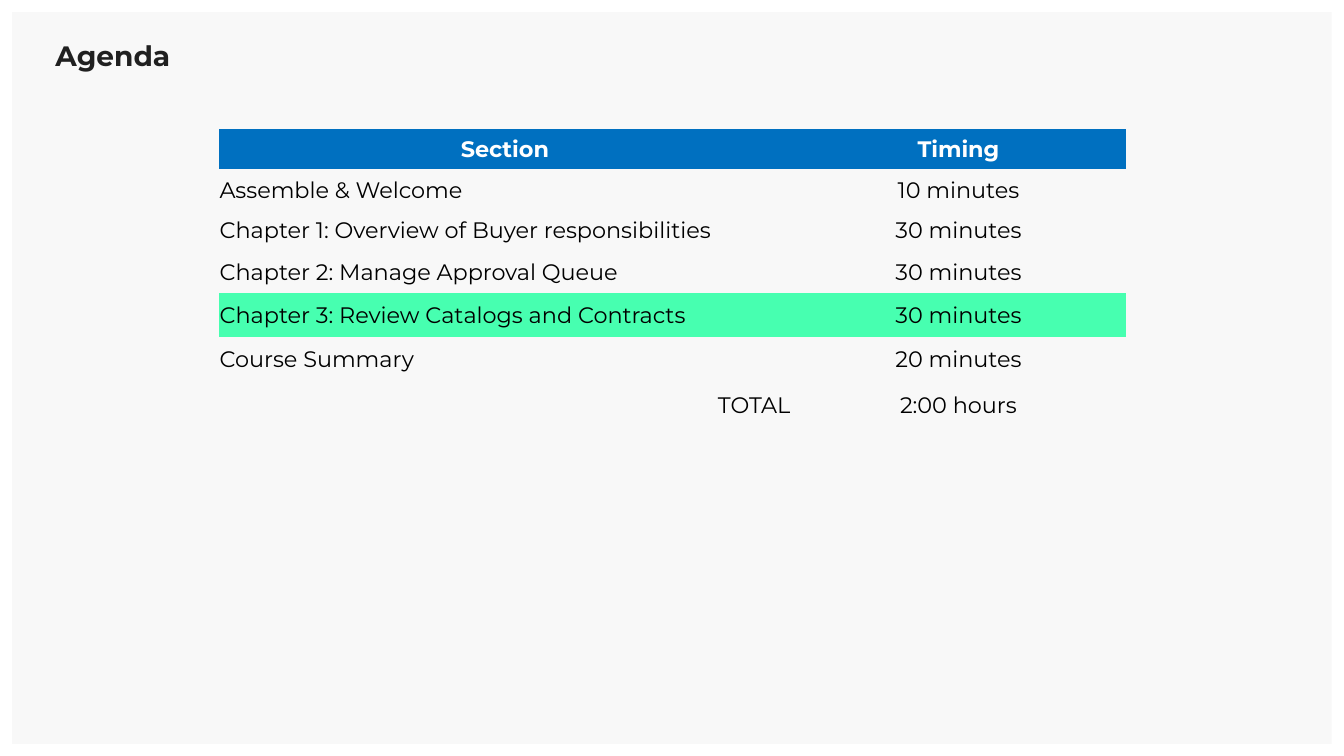
"""Build an agenda slide with a timing table that highlights the current chapter."""
from dataclasses import dataclass

from pptx import Presentation
from pptx.dml.color import RGBColor
from pptx.enum.shapes import MSO_SHAPE
from pptx.enum.text import MSO_ANCHOR, PP_ALIGN as AL
from pptx.oxml.ns import qn
from pptx.slide import Slide
from pptx.table import _Cell as Cell
from pptx.util import Pt

FONT = "Montserrat"
NO_STYLE_NO_GRID = "{2D5ABB26-0587-4C30-8999-92F81FD0307C}"
COLORS = {
    "panel": "F8F8F8",
    "title": "202020",
    "header": "0070C0",
    "current": "47FFB0",
    "text": "000000",
    "white": "FFFFFF",
}


@dataclass(frozen=True)
class AgendaRow:
    section: str
    timing: str
    height: float
    align: AL = AL.LEFT
    fill: str = ""
    color: str = "text"
    bold: bool = False


ROWS = [
    AgendaRow("Section", "Timing", 28.8, AL.CENTER, "header", "white", True),
    AgendaRow("Assemble & Welcome", "10 minutes", 28.8),
    AgendaRow("Chapter 1: Overview of Buyer responsibilities", "30 minutes", 29.2),
    AgendaRow("Chapter 2: Manage Approval Queue", "30 minutes", 30.6),
    AgendaRow("Chapter 3: Review Catalogs and Contracts", "30 minutes", 31.2, fill="current"),
    AgendaRow("Course Summary", "20 minutes", 31.8),
    AgendaRow("TOTAL", "2:00 hours", 33.8, AL.RIGHT),
]
COLUMNS = [409, 239]


def rgb(name: str) -> RGBColor:
    return RGBColor.from_string(COLORS[name])


def set_font(p, size: float, color: str, bold: bool) -> None:
    p.font.name = FONT
    p.font.size = Pt(size)
    p.font.bold = bold
    p.font.color.rgb = rgb(color)


def draw_panel(s: Slide) -> None:
    sp = s.shapes.add_shape(MSO_SHAPE.RECTANGLE, Pt(8.6), Pt(8.6), Pt(942.6), Pt(522.8))
    sp.shadow.inherit = False
    sp.fill.solid()
    sp.fill.fore_color.rgb = rgb("panel")
    sp.line.fill.background()


def draw_title(s: Slide, text: str) -> None:
    tf = s.shapes.add_textbox(Pt(39.6), Pt(25.2), Pt(881.3), Pt(26.6)).text_frame
    tf.word_wrap = True
    tf.margin_left = tf.margin_right = tf.margin_top = tf.margin_bottom = 0
    p = tf.paragraphs[0]
    p.text = text
    p.line_spacing = 1.1
    set_font(p, 20, "title", True)


def fill_cell(cell: Cell, text: str, align: AL, row: AgendaRow) -> None:
    cell.margin_left = cell.margin_right = cell.margin_top = Pt(0.7)
    cell.margin_bottom = 0
    cell.vertical_anchor = MSO_ANCHOR.MIDDLE
    if row.fill:
        cell.fill.solid()
        cell.fill.fore_color.rgb = rgb(row.fill)
    else:
        cell.fill.background()
    p = cell.text_frame.paragraphs[0]
    p.text = text
    p.alignment = align
    set_font(p, 16, row.color, row.bold)


def draw_agenda(s: Slide, rows: list[AgendaRow]) -> None:
    frame = s.shapes.add_table(
        len(rows), len(COLUMNS), Pt(156.2), Pt(92.2),
        Pt(sum(COLUMNS)), Pt(sum(row.height for row in rows)),
    )
    table = frame.table
    table.horz_banding = False
    next(frame._element.iter(qn("a:tableStyleId"))).text = NO_STYLE_NO_GRID
    for column, width in zip(table.columns, COLUMNS):
        column.width = Pt(width)
    for i, row in enumerate(rows):
        table.rows[i].height = Pt(row.height)
        fill_cell(table.cell(i, 0), row.section, row.align, row)
        fill_cell(table.cell(i, 1), row.timing, AL.CENTER, row)


def main() -> None:
    prs = Presentation()
    prs.slide_width, prs.slide_height = Pt(960), Pt(540)
    s = prs.slides.add_slide(prs.slide_layouts[6])
    draw_panel(s)
    draw_title(s, "Agenda")
    draw_agenda(s, ROWS)
    prs.save("out.pptx")


if __name__ == "__main__":
    main()
